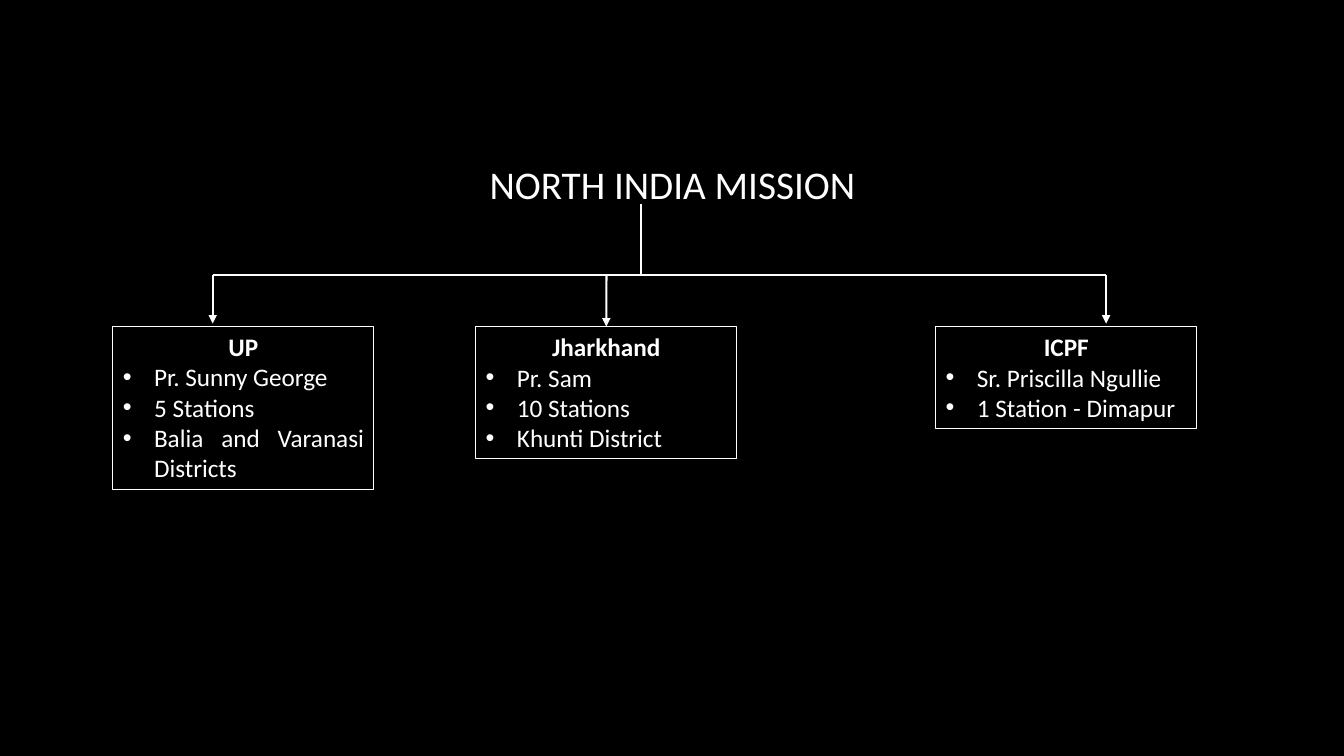
from dataclasses import dataclass
from lxml import etree
from pptx import Presentation
from pptx.dml.color import RGBColor
from pptx.enum.shapes import MSO_CONNECTOR, MSO_SHAPE
from pptx.enum.text import MSO_ANCHOR, MSO_AUTO_SIZE, PP_ALIGN
from pptx.oxml.ns import qn
from pptx.util import Inches, Pt

LINE, RECT = MSO_CONNECTOR.STRAIGHT, MSO_SHAPE.RECTANGLE
TOP, GROW = MSO_ANCHOR.TOP, MSO_AUTO_SIZE.SHAPE_TO_FIT_TEXT
MID, FULL = PP_ALIGN.CENTER, PP_ALIGN.JUSTIFY


@dataclass(frozen=True)
class Theme:
    back: RGBColor = RGBColor(0, 0, 0)
    ink: RGBColor = RGBColor(255, 255, 255)
    font: str = "Calibri"
    title: int = 28
    body: int = 18
    edge: float = 0.75
    rule: float = 1.5


class Chart:
    """Draws on a grid of 40 columns by 30 rows."""

    def __init__(self, deck, theme):
        self.theme = theme
        self.col, self.row = deck.slide_width / 40, deck.slide_height / 30
        self.slide = deck.slides.add_slide(deck.slide_layouts[6])
        fill = self.slide.background.fill
        fill.solid()
        fill.fore_color.rgb = theme.back

    def place(self, *cells):
        return [round(c * (self.row if i % 2 else self.col))
                for i, c in enumerate(cells)]

    def style(self, para, size, align, bold=False):
        para.alignment = align
        font = para.font
        font.name, font.size, font.bold = self.theme.font, Pt(size), bold
        font.color.rgb = self.theme.ink

    def title(self, text, *cells):
        frame = self.slide.shapes.add_textbox(*self.place(*cells)).text_frame
        frame.word_wrap = True
        para = frame.paragraphs[0]
        para.text = text
        para.line_spacing = 0.9
        self.style(para, self.theme.title, MID)

    def bullet(self, para):
        props = para._p.get_or_add_pPr()
        props.set("marL", str(Inches(0.31)))
        props.set("indent", str(-Inches(0.31)))
        etree.SubElement(props, qn("a:buFont")).set("typeface", "Arial")
        etree.SubElement(props, qn("a:buChar")).set("char", "•")

    def box(self, head, items, *cells):
        shape = self.slide.shapes.add_shape(RECT, *self.place(*cells))
        shape.shadow.inherit = False
        shape.fill.background()
        shape.line.color.rgb = self.theme.ink
        shape.line.width = Pt(self.theme.edge)
        frame = shape.text_frame
        frame.word_wrap, frame.auto_size = True, GROW
        frame.vertical_anchor = TOP
        para = frame.paragraphs[0]
        para.text = head
        self.style(para, self.theme.body, MID, True)
        for item in items:
            para = frame.add_paragraph()
            para.text = item
            self.bullet(para)
            self.style(para, self.theme.body, FULL)
        return shape

    def line(self, *cells, arrow=False):
        link = self.slide.shapes.add_connector(LINE, *self.place(*cells))
        link.line.color.rgb = self.theme.ink
        link.line.width = Pt(self.theme.rule)
        if arrow:
            tail = etree.SubElement(link.line._ln, qn("a:tailEnd"))
            tail.set("type", "triangle")
        etree.SubElement(link._element.spPr, qn("a:effectLst"))
        return link


def main():
    deck = Presentation()
    deck.slide_width, deck.slide_height = Inches(13.33), Inches(7.5)
    chart = Chart(deck, Theme())

    # Title
    chart.title("NORTH INDIA MISSION", 2.76, 6.36, 34.5, 20.68)

    # Trunk and crossbar
    bar, tip, top, wide = 10.92, 12.84, 12.96, 7.77
    chart.line(19.08, 8.08, 19.08, bar)
    chart.line(6.33, bar, 32.92, bar)

    # Branches: left edge, arrow column, text lines, heading, items
    units = [
        (3.36, 6.33, 5, "UP",
         ["Pr. Sunny George", "5 Stations", "Balia and Varanasi Districts"]),
        (14.16, 18.05, 4, "Jharkhand",
         ["Pr. Sam", "10 Stations", "Khunti District"]),
        (27.85, 32.92, 3, "ICPF",
         ["Sr. Priscilla Ngullie", "1 Station - Dimapur"]),
    ]
    for left, stem, lines, head, items in units:
        box = chart.box(head, items, left, top, wide, 0.4 + 1.21 * lines)
        link = chart.line(stem, bar, stem, tip, arrow=True)
        if abs(stem - left - wide / 2) < 0.1:
            link.end_connect(box, 0)

    deck.save("out.pptx")


if __name__ == "__main__":
    main()
